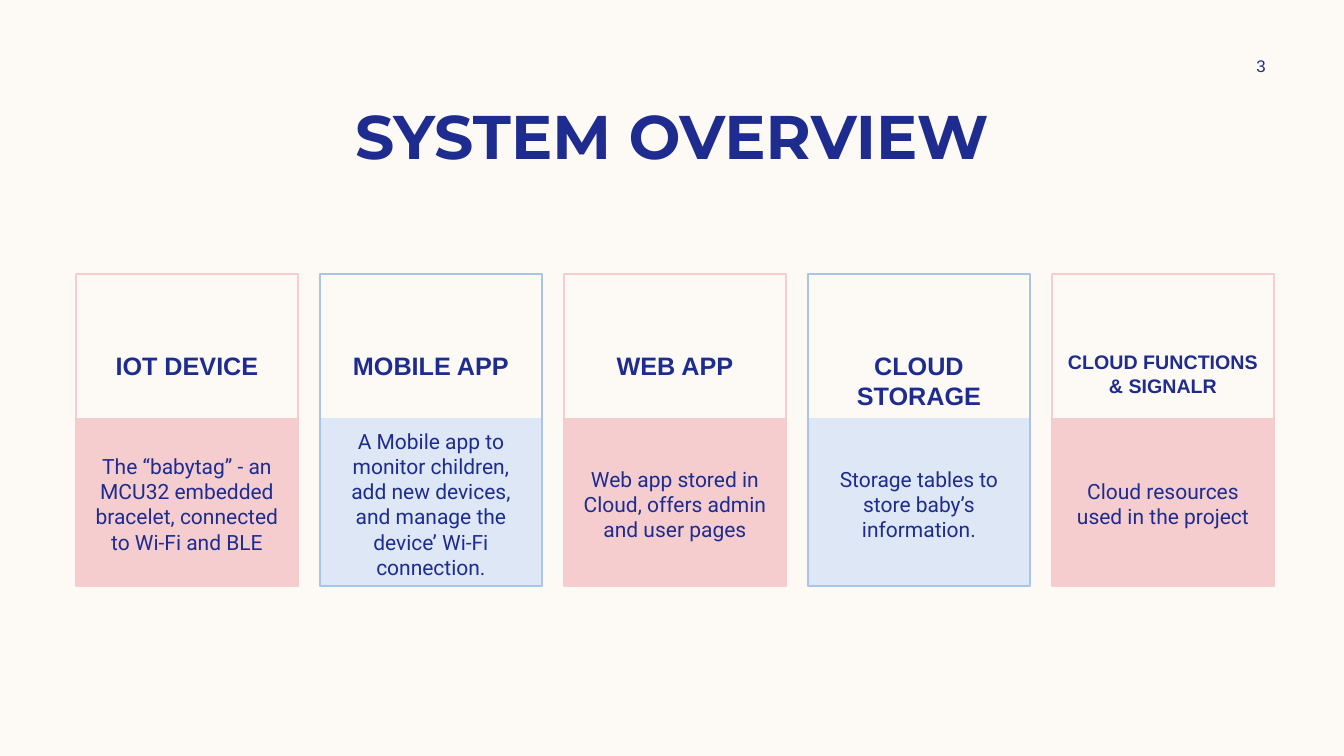
from pptx import Presentation, util as u
from pptx.dml import color
from pptx.enum import shapes, text

PX = 914400 / 100.8
INK, PINK, BLUE, BLUE_LINE = "1F2C8F", "F5CDCE", "DDE7F6", "AAC3E8"
CARDS = [
    ("IOT DEVICE", 18, "The “babytag” - an MCU32 embedded bracelet, connected to Wi-Fi and BLE"),
    ("MOBILE APP", 18, "A Mobile app to monitor children, add new devices, "
                       "and manage the device’ Wi-Fi connection."),
    ("WEB APP", 18, "Web app stored in Cloud, offers admin and user pages"),
    ("CLOUD STORAGE", 18, "Storage tables to store baby’s information."),
    ("CLOUD FUNCTIONS & SIGNALR", 14, "Cloud resources used in the project"),
]
LEFT, STEP, WIDTH = 76, 244, 222


def px(length):
    return u.Emu(round(length * PX))


def rgb(value):
    return color.RGBColor.from_string(value)


class Slide:
    """Draws styled elements on one page, with lengths in px."""

    def __init__(self, deck, background):
        self.page = deck.slides.add_slide(deck.slide_layouts[6])
        fill = self.page.background.fill
        fill.solid()
        fill.fore_color.rgb = rgb(background)

    def put_text(self, shape, words, size, font, bold=False, anchor="MIDDLE", top=5):
        frame = shape.text_frame
        layout = {
            "word_wrap": True,
            "vertical_anchor": text.MSO_ANCHOR[anchor],
            "margin_left": px(10),
            "margin_right": px(10),
            "margin_top": px(top),
            "margin_bottom": px(5),
        }
        for name, value in layout.items():
            setattr(frame, name, value)
        para = frame.paragraphs[0]
        para.alignment = text.PP_ALIGN.CENTER
        span = para.add_run()
        span.text = words
        for name, value in {"name": font, "size": u.Pt(size), "bold": bold}.items():
            setattr(span.font, name, value)
        span.font.color.rgb = rgb(INK)

    def label(self, box, words, size, font, **style):
        self.put_text(self.page.shapes.add_textbox(*map(px, box)), words, size, font, **style)

    def rectangle(self, box, fill=None, line=None):
        shape = self.page.shapes.add_shape(shapes.MSO_SHAPE.RECTANGLE, *map(px, box))
        shape.shadow.inherit = False
        if fill:
            shape.fill.solid()
            shape.fill.fore_color.rgb = rgb(fill)
        else:
            shape.fill.background()
        if line:
            shape.line.color.rgb = rgb(line)
            shape.line.width = u.Pt(1)
        else:
            shape.line.fill.background()
        return shape

    def card(self, left, heading, size, body, fill, line):
        self.rectangle((left, 418, WIDTH, 168), fill=fill)
        frame = self.rectangle((left, 274, WIDTH, 312), line=line)
        self.put_text(frame, heading, size, "Arial", bold=True, anchor="TOP", top=76)
        self.label((left + 5, 428, WIDTH - 10, 152), body, 15, "Roboto")


def main():
    deck = Presentation()
    deck.slide_width, deck.slide_height = px(1344), px(756)
    slide = Slide(deck, "FDFAF6")
    slide.label((84, 93, 1176, 84), "SYSTEM OVERVIEW", 44, "Montserrat", bold=True, anchor="TOP")
    slide.label((1207, 51, 108, 30), "3", 12, "Arial")
    for index, (heading, size, body) in enumerate(CARDS):
        fill, line = ((PINK, PINK), (BLUE, BLUE_LINE))[index % 2]
        slide.card(LEFT + index * STEP, heading, size, body, fill, line)
    deck.save("out.pptx")


if __name__ == "__main__":
    main()
